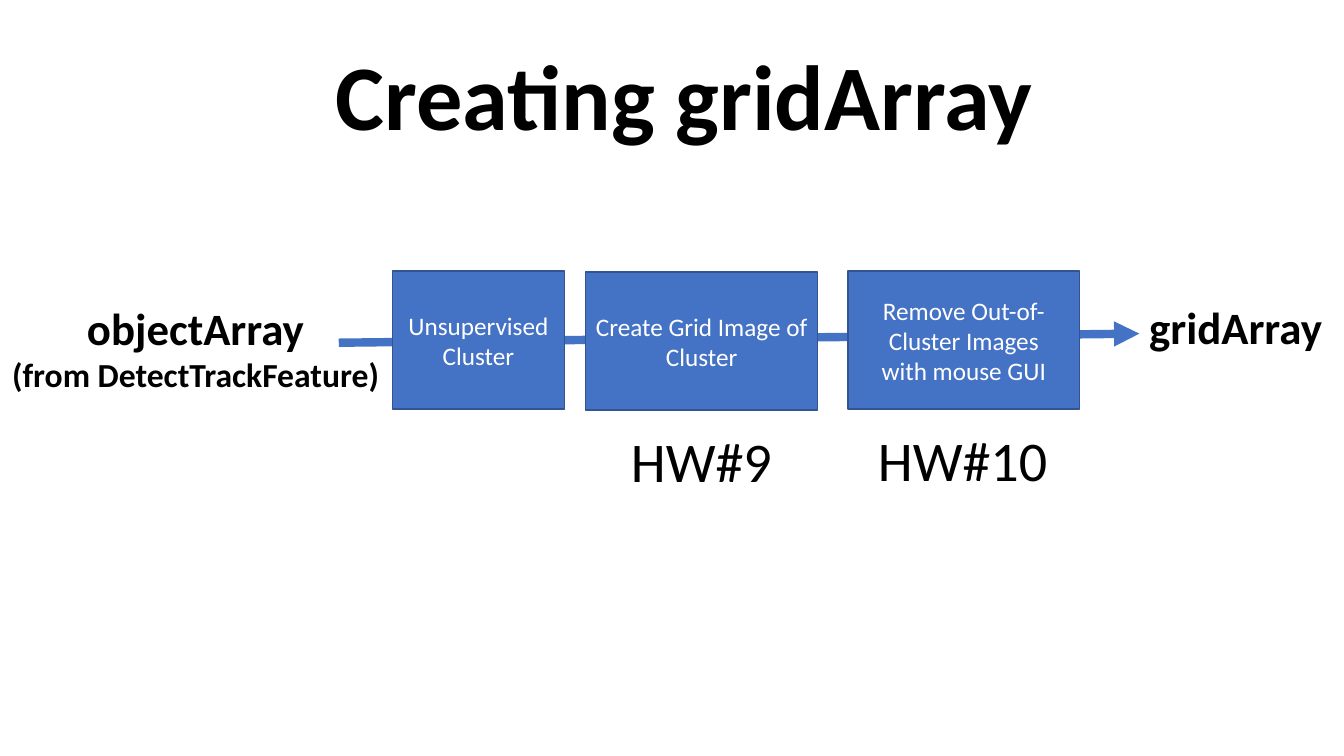
from lxml import etree
from pptx import Presentation
from pptx.dml.color import RGBColor
from pptx.enum.shapes import MSO_CONNECTOR, MSO_SHAPE
from pptx.enum.text import MSO_ANCHOR, MSO_AUTO_SIZE, PP_ALIGN
from pptx.oxml.ns import qn
from pptx.util import Inches, Pt

STRAIGHT = MSO_CONNECTOR.STRAIGHT
RECTANGLE = MSO_SHAPE.RECTANGLE
MIDDLE = MSO_ANCHOR.MIDDLE
FIT_SHAPE = MSO_AUTO_SIZE.SHAPE_TO_FIT_TEXT
LEFT = PP_ALIGN.LEFT
CENTER = PP_ALIGN.CENTER

FONT = "Calibri"
COLORS = {"blue": "4472C4", "border": "325491", "text": "000000", "light": "FFFFFF"}


def color(name):
    return RGBColor.from_string(COLORS[name])


def write_lines(frame, lines, text_color, align, bold=False):
    for index, (text, size) in enumerate(lines):
        paragraph = frame.paragraphs[0] if index == 0 else frame.add_paragraph()
        paragraph.alignment = align
        run = paragraph.add_run()
        run.text = text
        run.font.name = FONT
        run.font.size = Pt(size)
        run.font.bold = bold
        run.font.color.rgb = color(text_color)


def add_label(slide, box, lines, align=LEFT, bold=True):
    shape = slide.shapes.add_textbox(*map(Inches, box))
    shape.text_frame.word_wrap = False
    shape.text_frame.auto_size = FIT_SHAPE
    write_lines(shape.text_frame, lines, "text", align, bold)


def add_step(slide, box, lines):
    shape = slide.shapes.add_shape(RECTANGLE, *map(Inches, box))
    shape.shadow.inherit = False
    shape.fill.solid()
    shape.fill.fore_color.rgb = color("blue")
    shape.line.color.rgb = color("border")
    shape.line.width = Pt(1)
    shape.text_frame.word_wrap = True
    shape.text_frame.vertical_anchor = MIDDLE
    write_lines(shape.text_frame, [(line, 18) for line in lines], "light", CENTER)


def add_flow_arrow(slide, start, end):
    connector = slide.shapes.add_connector(STRAIGHT, *map(Inches, start + end))
    connector.line.color.rgb = color("blue")
    connector.line.width = Pt(6)
    etree.SubElement(connector.line._get_or_add_ln(), qn("a:tailEnd"), type="triangle")
    etree.SubElement(connector._element.spPr, qn("a:effectLst"))


def add_pipeline(slide, left, top):
    add_flow_arrow(slide, (left + 3.36, top + 0.71), (left + 11.3, top + 0.62))
    steps = [
        (3.89, 0, 1.71, ["Unsupervised", "Cluster"]),
        (5.81, 0.01, 2.3, ["Create Grid Image of Cluster"]),
        (8.41, 0, 2.3, ["Remove Out-of-Cluster Images", "with mouse GUI"]),
    ]
    for x, y, width, lines in steps:
        add_step(slide, (left + x, top + y, width, 1.37), lines)

    source_lines = [("objectArray", 32), ("(from DetectTrackFeature)", 24)]
    add_label(slide, (left, top + 0.24, 3.88, 1.04), source_lines, CENTER)
    add_label(slide, (left + 11.3, top + 0.23, 1.93, 0.64), [("gridArray", 32)])

    homework = [(6.16, 1.49, 1.61, "HW#9"), (8.61, 1.48, 1.9, "HW#10")]
    for x, y, width, text in homework:
        add_label(slide, (left + x, top + y, width, 0.77), [(text, 40)], bold=False)


def main():
    presentation = Presentation()
    presentation.slide_width = Inches(13.33)
    presentation.slide_height = Inches(7.5)
    slide = presentation.slides.add_slide(presentation.slide_layouts[6])
    add_label(slide, (3.23, 0.33, 7.19, 1.21), [("Creating gridArray", 66)])
    add_pipeline(slide, 0, 2.69)
    presentation.save("out.pptx")


if __name__ == "__main__":
    main()
